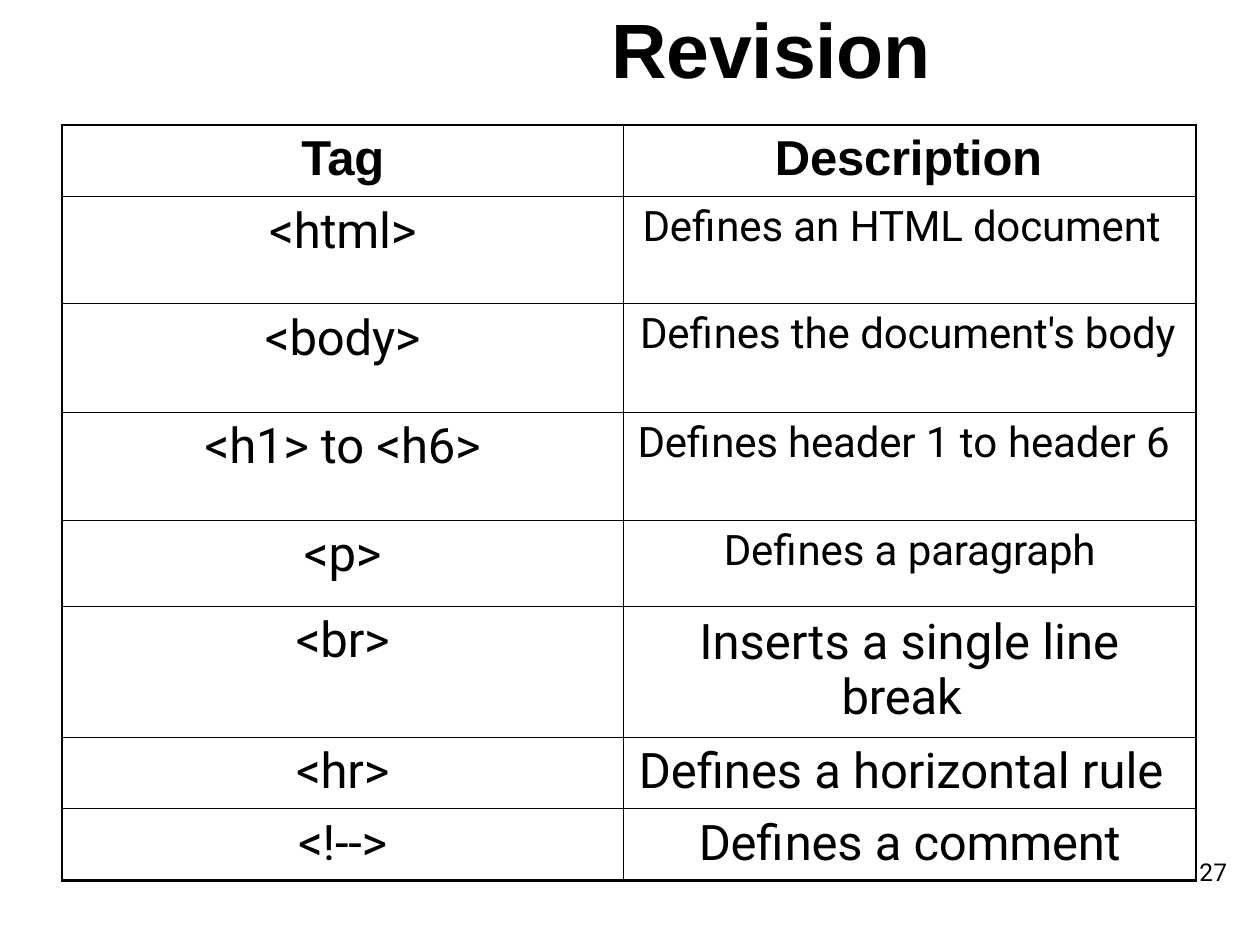
"""Build the Revision slide: a table of HTML tags and what they define."""
import pptx
import pptx.util
import pptx.dml.color
import pptx.enum.text
import pptx.oxml
from pptx.oxml.ns import qn

Inches, Pt = pptx.util.Inches, pptx.util.Pt
INK = "000000"
TIGHT, PLAIN, LOOSE = -10, 0, 10
THIN, THICK = 0.5, 1.5
LEFT, TOP = 0.49, 0.99
COLS = [4.46, 4.54]

# Each row: height, tag runs, description runs, description size, left margin (None is centred)
ROWS = [
    (0.57, [("Tag", TIGHT)], [("Description", TIGHT)], 28, 1.2),
    (0.85, [("<html>", TIGHT)],
     [("Defines ", TIGHT), ("an ", PLAIN), ("HTML document", TIGHT)], 24, 0.15),
    (0.86, [("<body>", TIGHT)],
     [("Defines ", TIGHT), ("the ", PLAIN), ("document's body", TIGHT)], 24, 0.13),
    (0.86, [("<h1> ", TIGHT), ("to ", PLAIN), ("<h6>", TIGHT)],
     [("Defines header ", TIGHT), ("1 ", PLAIN), ("to ", LOOSE),
      ("header", TIGHT), (" 6", PLAIN)], 24, 0.11),
    (0.68, [("<p>", TIGHT)],
     [("Defines ", TIGHT), ("a ", PLAIN), ("paragraph", TIGHT)], 24, None),
    (1.04, [("<br>", TIGHT)],
     [("Inserts a single line ", PLAIN), ("break", TIGHT)], 28, 1.73),
    (0.57, [("<hr>", TIGHT)], [("Defines a horizontal rule", PLAIN)], 28, 0.12),
    (0.57, [("<!-->", TIGHT)],
     [("Defines ", TIGHT), ("a ", PLAIN), ("comment", TIGHT)], 28, None),
]
HANG = {5: -1.13}


def color(hue):
    return pptx.dml.color.RGBColor.from_string(hue)


def write(para, runs, size, font="Roboto", bold=False, margin=None, hang=0, before=0):
    para.space_before = Pt(before)
    if margin is None:
        para.alignment = pptx.enum.text.PP_ALIGN.CENTER
    else:
        props = para._p.get_or_add_pPr()
        props.set("marL", str(Inches(margin)))
        props.set("indent", str(Inches(hang)))
    for text, gap in runs:
        run = para.add_run()
        run.text = text
        run.font.size = Pt(size)
        run.font.name = font
        run.font.bold = bold
        run.font.color.rgb = color(INK)
        run._r.get_or_add_rPr().set("spc", str(gap))


def inset(box, top):
    box.margin_left = box.margin_right = box.margin_bottom = 0
    box.margin_top = Inches(top)


def label(slide, place, top):
    frame = slide.shapes.add_textbox(*map(Inches, place)).text_frame
    frame.word_wrap = True
    inset(frame, top)
    return frame.paragraphs[0]


def border(cell, widths):
    props = cell._tc.get_or_add_tcPr()
    for side, width in widths.items():
        line = pptx.oxml.parse_xml(
            '<a:ln%s xmlns:a="http://schemas.openxmlformats.org/drawingml/2006/main"'
            ' w="%d"><a:solidFill><a:srgbClr val="%s"/></a:solidFill></a:ln%s>'
            % (side, Pt(width), INK, side))
        props.append(line)


def grid(slide):
    frame = slide.shapes.add_table(
        len(ROWS), len(COLS), Inches(LEFT), Inches(TOP),
        Inches(sum(COLS)), Inches(sum(row[0] for row in ROWS)))
    table = frame.table
    table.first_row = table.horz_banding = False
    for col, width in zip(table.columns, COLS):
        col.width = Inches(width)
    last = len(ROWS) - 1
    for i, (height, tag, about, size, margin) in enumerate(ROWS):
        table.rows[i].height = Inches(height)
        head = i == 0
        font = "Arial" if head else "Roboto"
        for j, (runs, pts, left) in enumerate([(tag, 28, None), (about, size, margin)]):
            cell = table.cell(i, j)
            hang = HANG.get(i, 0) if j else 0
            inset(cell, 0.09 if hang else 0.05)
            para = cell.text_frame.paragraphs[0]
            write(para, runs, pts, font, head, left, hang, 6.4 if hang else 3.3)
            if hang:
                para.line_spacing = Pt(31.2)
            border(cell, {"L": THIN if j else THICK, "R": THICK if j else THIN,
                          "T": THICK if head else THIN,
                          "B": THICK if i == last else THIN})
            cell.fill.background()


def main():
    deck = pptx.Presentation()
    deck.slide_width, deck.slide_height = Inches(10), Inches(7.5)
    slide = deck.slides.add_slide(deck.slide_layouts[6])
    page = label(slide, (9.48, 6.81, 0.3, 0.25), 0)
    write(page, [("27", PLAIN)], 14, margin=0.04)
    page.line_spacing = Pt(16.4)
    grid(slide)
    title = label(slide, (4.84, 0, 2.58, 0.76), 0.01)
    write(title, [("Revision", TIGHT)], 44, "Arial", True, 0.01, before=1)
    deck.save("out.pptx")


if __name__ == "__main__":
    main()
